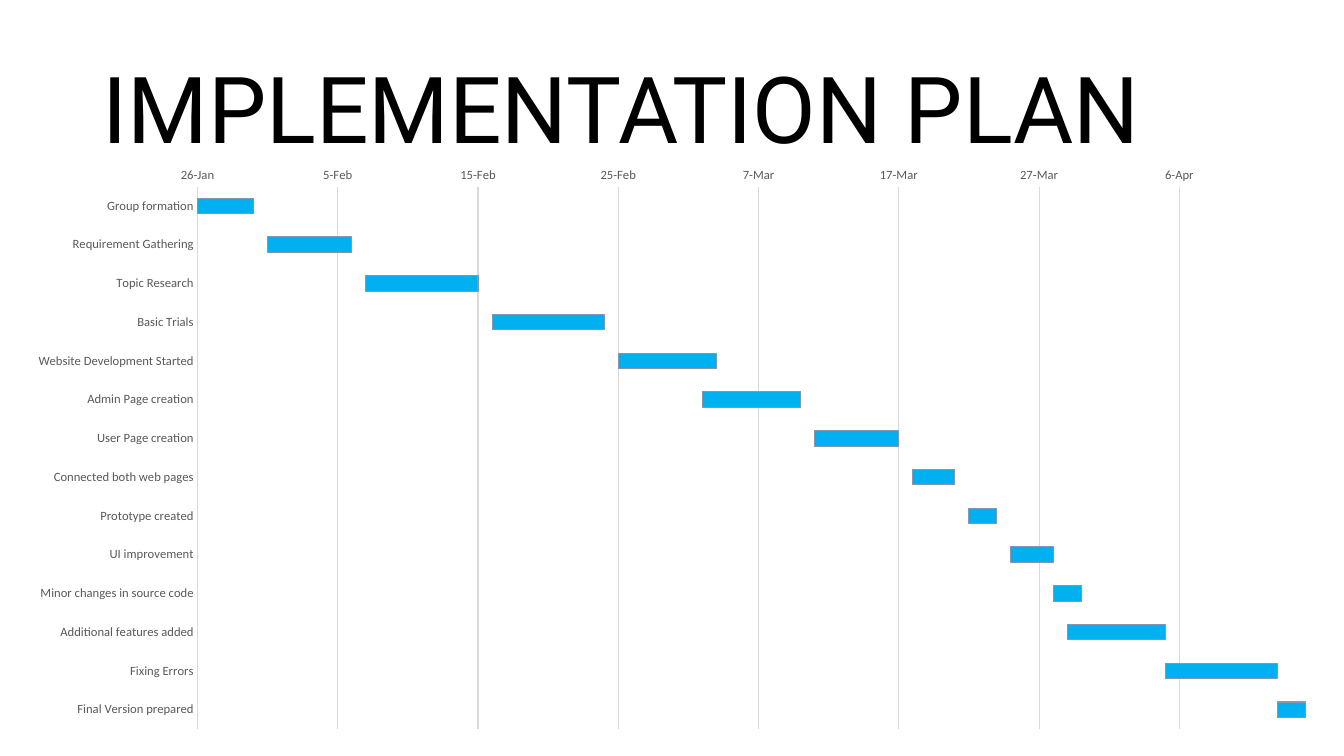
from pptx import Presentation
from pptx.chart.data import CategoryChartData
from pptx.dml.color import RGBColor
from pptx.enum.chart import XL_CHART_TYPE, XL_TICK_MARK
from pptx.enum.text import MSO_ANCHOR
from pptx.util import Inches, Pt

FIRST_DAY = 45683
LAST_DAY = 45762
TASKS = [
    ("Group formation", 45683, 4),
    ("Requirement Gathering", 45688, 6),
    ("Topic Research", 45695, 8),
    ("Basic Trials", 45704, 8),
    ("Website Development Started", 45713, 7),
    ("Admin Page creation", 45719, 7),
    ("User Page creation", 45727, 6),
    ("Connected both web pages", 45734, 3),
    ("Prototype created", 45738, 2),
    ("UI improvement", 45741, 3),
    ("Minor changes in source code", 45744, 2),
    ("Additional features added", 45745, 7),
    ("Fixing Errors", 45752, 8),
    ("Final Version prepared", 45760, 2),
]


def rgb(color):
    return RGBColor.from_string(color)


def set_font(font, name, size, color):
    font.name = name
    font.size = Pt(size)
    font.color.rgb = rgb(color)


def set_line(line, color):
    line.color.rgb = rgb(color)
    line.width = Pt(0.75)


def add_title(s, text):
    sp = s.shapes.add_textbox(Inches(0.92), Inches(0.4), Inches(11.5), Inches(1.45))
    tf = sp.text_frame
    tf.word_wrap = True
    tf.vertical_anchor = MSO_ANCHOR.MIDDLE
    p = tf.paragraphs[0]
    p.text = text
    p.line_spacing = 0.9
    set_font(p.font, "Roboto", 66, "000000")


def style_axis(axis):
    axis.major_tick_mark = XL_TICK_MARK.NONE
    axis.minor_tick_mark = XL_TICK_MARK.NONE
    set_font(axis.tick_labels.font, "Calibri", 9, "595959")


def add_gantt(s, tasks):
    names, starts, days = zip(*tasks)
    data = CategoryChartData()
    data.categories = names
    data.add_series("Series 1", starts)
    data.add_series("Series 2", days)
    chart = s.shapes.add_chart(
        XL_CHART_TYPE.BAR_STACKED,
        Inches(0.12), Inches(1.55), Inches(13.09), Inches(5.8), data,
    ).chart
    chart.has_title = False
    chart.has_legend = False
    set_font(chart.font, "Calibri", 10, "000000")

    task_axis = chart.category_axis
    style_axis(task_axis)
    task_axis.reverse_order = True
    set_line(task_axis.format.line, "D9D9D9")

    date_axis = chart.value_axis
    style_axis(date_axis)
    date_axis.minimum_scale = FIRST_DAY
    date_axis.maximum_scale = LAST_DAY
    date_axis.major_unit = 10
    date_axis.format.line.fill.background()
    set_line(date_axis.major_gridlines.format.line, "D9D9D9")
    date_axis.tick_labels.number_format = "d\\-mmm"
    date_axis.tick_labels.number_format_is_linked = False

    plot = chart.plots[0]
    plot.gap_width = 150
    plot.overlap = 100
    plot.vary_by_categories = False
    start_bars, day_bars = plot.series
    start_bars.format.fill.background()
    start_bars.format.line.fill.background()
    day_bars.format.fill.solid()
    day_bars.format.fill.fore_color.rgb = rgb("00B0F0")
    set_line(day_bars.format.line, "8497B0")


def main():
    prs = Presentation()
    prs.slide_width = Inches(13.33)
    prs.slide_height = Inches(7.5)
    s = prs.slides.add_slide(prs.slide_layouts[6])
    add_title(s, "IMPLEMENTATION PLAN")
    add_gantt(s, TASKS)
    prs.save("out.pptx")


if __name__ == "__main__":
    main()
